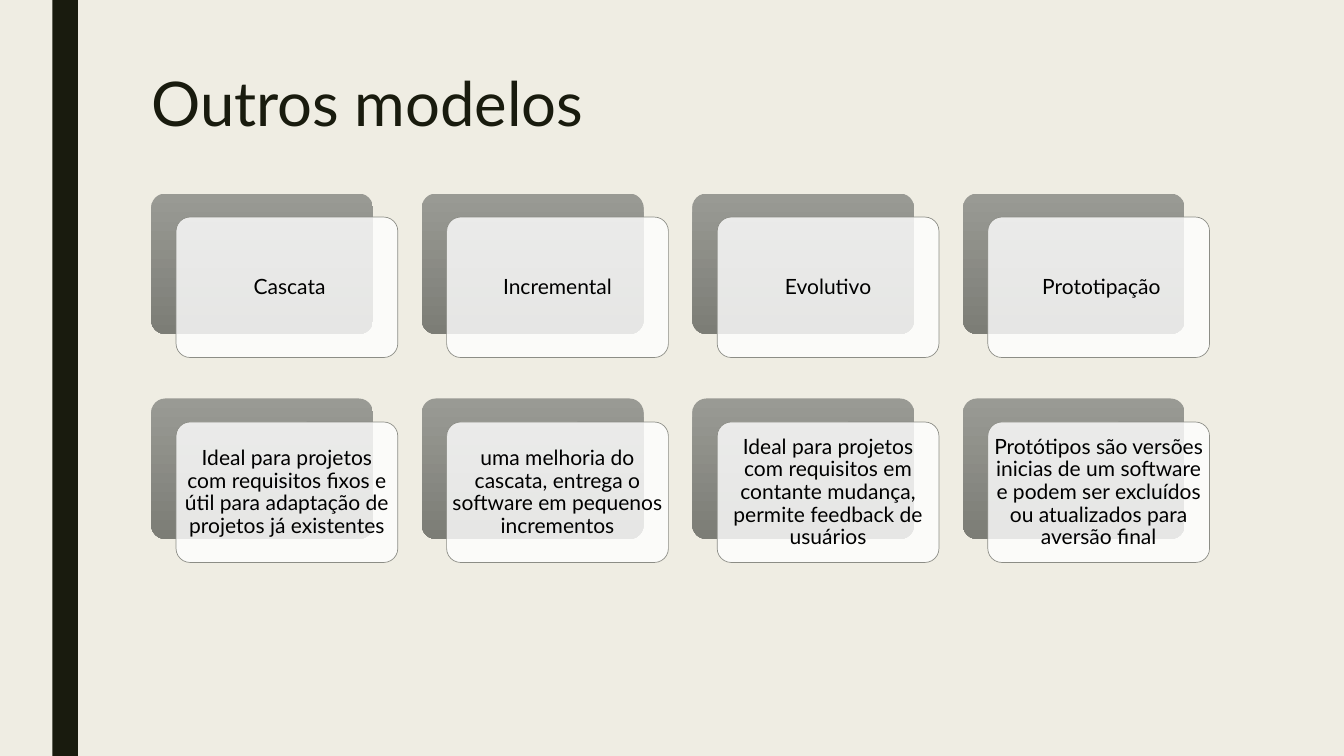
from lxml import etree
from pptx import Presentation, util as u
from pptx.dml.color import RGBColor
from pptx.enum import shapes, text
from pptx.oxml.ns import qn

WIDE, HIGH = 20, 11.25
LEFT, TOP = 2.25, 2.88
CARD_W, CARD_H = 3.3, 2.09
SHIFT_X, SHIFT_Y = 0.37, 0.35
SPAN = 15.75
COLS = 4
STEP_X = (SPAN - CARD_W - SHIFT_X) / (COLS - 1)
STEP_Y = 3.05

MODELS = [
    (" Cascata",
     "Ideal para projetos com requisitos fixos e útil para adaptação de projetos já existentes"),
    ("Incremental",
     "uma melhoria do cascata, entrega o software em pequenos incrementos"),
    ("Evolutivo",
     "Ideal para projetos com requisitos em contante mudança, permite feedback de usuários"),
    (" Prototipação",
     "Protótipos são versões inicias de um software e podem ser excluídos ou atualizados para aversão final"),
]


def tint(code):
    return RGBColor.from_string(code)


class Deck:
    font = "Lato"
    ink = "191B0E"
    paper = "EFEDE3"
    edge = "8C8D86"
    shade = ("999A94", "7C7D76")

    def __init__(self):
        self.prs = Presentation()
        self.prs.slide_width = u.Inches(WIDE)
        self.prs.slide_height = u.Inches(HIGH)
        self.slide = self.prs.slides.add_slide(self.prs.slide_layouts[5])
        back = self.slide.background.fill
        back.solid()
        back.fore_color.rgb = tint(self.paper)

    def label(self, frame, words, size, lead, color, align, anchor):
        frame.text = words
        frame.word_wrap = True
        frame.auto_size = text.MSO_AUTO_SIZE.NONE
        frame.vertical_anchor = anchor
        frame.margin_left = frame.margin_right = 0
        frame.margin_top = frame.margin_bottom = 0
        para = frame.paragraphs[0]
        para.alignment = align
        para.line_spacing = u.Pt(lead)
        font = para.runs[0].font
        font.name, font.size = self.font, u.Pt(size)
        font.color.rgb = tint(color)

    def title(self, words):
        box = self.slide.shapes.title
        box.left, box.top = u.Inches(LEFT), u.Inches(1.09)
        box.width, box.height = u.Inches(SPAN), u.Inches(2.48)
        self.label(box.text_frame, words, 66, 70.5, self.ink,
                   text.PP_ALIGN.LEFT, text.MSO_ANCHOR.TOP)

    def shape(self, kind, x, y, w, h):
        item = self.slide.shapes.add_shape(kind, *map(u.Inches, (x, y, w, h)))
        item.shadow.inherit = False
        item.line.fill.background()
        return item

    def stripe(self, x, w):
        bar = self.shape(shapes.MSO_SHAPE.RECTANGLE, x, 0, w, HIGH)
        bar.fill.solid()
        bar.fill.fore_color.rgb = tint(self.ink)

    def panel(self, x, y):
        item = self.shape(shapes.MSO_SHAPE.ROUNDED_RECTANGLE, x, y, CARD_W, CARD_H)
        item.adjustments[0] = 0.1
        return item

    def card(self, col, row, words):
        x, y = LEFT + col * STEP_X, TOP + row * STEP_Y
        rear = self.panel(x, y)
        rear.fill.gradient()
        rear.fill.gradient_angle = 270
        for stop, code in zip(rear.fill.gradient_stops, self.shade):
            stop.color.rgb = tint(code)

        front = self.panel(x + SHIFT_X, y + SHIFT_Y)
        front.fill.solid()
        front.fill.fore_color.rgb = tint("FFFFFF")
        color = front.element.spPr.find(qn("a:solidFill"))[0]
        etree.SubElement(color, qn("a:alpha")).set("val", "81000")
        front.line.color.rgb = tint(self.edge)
        front.line.width = u.Pt(0.75)
        self.label(front.text_frame, words, 22.5, 24.3, "000000",
                   text.PP_ALIGN.CENTER, text.MSO_ANCHOR.MIDDLE)

    def save(self):
        self.prs.save("out.pptx")


def main():
    deck = Deck()
    deck.stripe(0.78, 0.38)
    deck.title("Outros modelos")
    for col, pair in enumerate(MODELS):
        for row, words in enumerate(pair):
            deck.card(col, row, words)
    deck.save()


if __name__ == "__main__":
    main()
